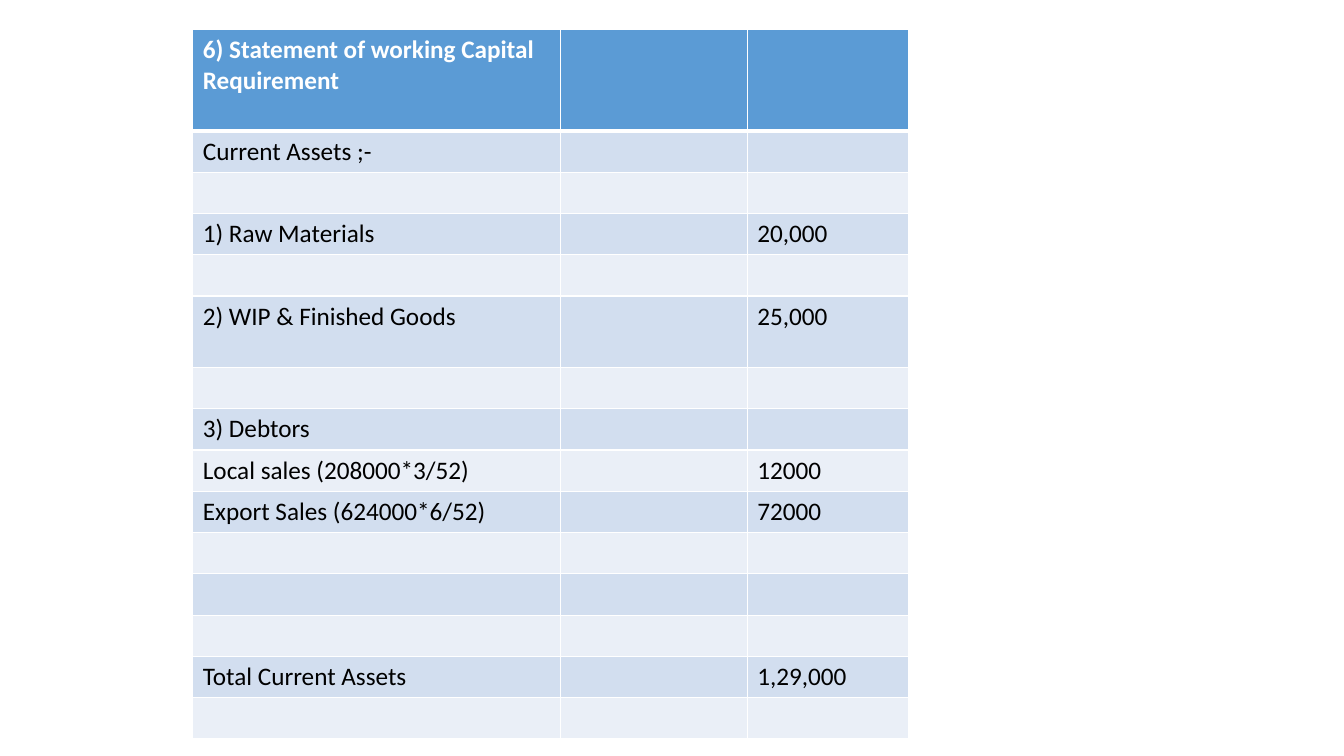
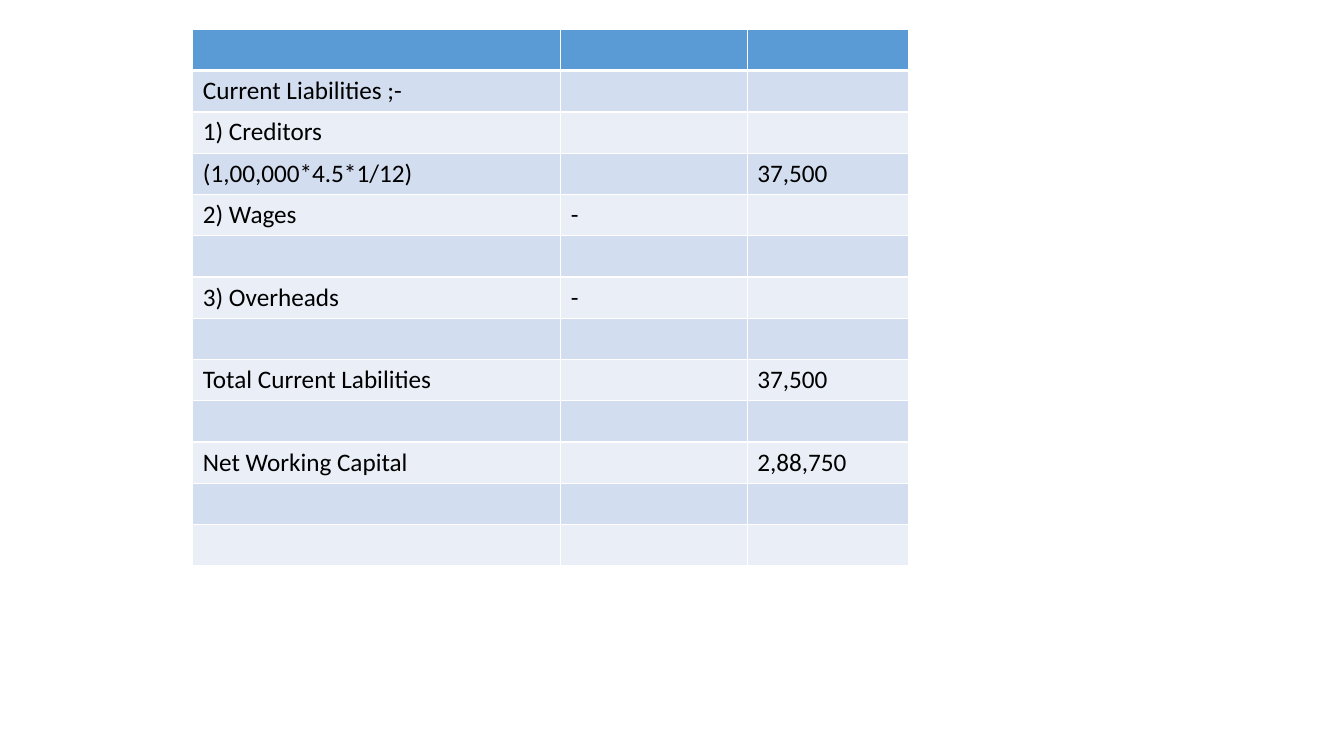
import pptx
import pptx.dml.color
import pptx.oxml
import pptx.oxml.ns
import pptx.util
from pptx.util import Cm, Pt

# Content: one (label, detail, amount) tuple per row
EMPTY = ("", "", "")
ASSETS = [
    ("6) Statement of working Capital Requirement", "", ""),
    ("Current Assets ;-", "", ""),
    EMPTY,
    ("1) Raw Materials", "", "20,000"),
    EMPTY,
    ("2) WIP & Finished Goods", "", "25,000"),
    EMPTY,
    ("3) Debtors", "", ""),
    ("Local sales (208000*3/52)", "", "12000"),
    ("Export Sales (624000*6/52)", "", "72000"),
    EMPTY,
    EMPTY,
    EMPTY,
    ("Total Current Assets", "", "1,29,000"),
    EMPTY,
]
LIABILITIES = [
    EMPTY,
    ("Current Liabilities ;-", "", ""),
    ("1) Creditors", "", ""),
    ("(1,00,000*4.5*1/12)", "", "37,500"),
    ("2) Wages", "-", ""),
    EMPTY,
    ("3) Overheads", "-", ""),
    EMPTY,
    ("Total Current Labilities", "", "37,500"),
    EMPTY,
    ("Net Working Capital", "", "2,88,750"),
    EMPTY,
    EMPTY,
]
# Each statement: rows, and heights (cm) of the rows taller than usual
STATEMENTS = [(ASSETS, {0: 2.56, 5: 1.8}), (LIABILITIES, {})]

# Shared style
COLORS = {"header": "5B9BD5", "odd": "D2DEEF", "even": "EAEFF7",
          "line": "FFFFFF", "header_text": "FFFFFF", "text": "000000"}
FONT = "Calibri"
LEFT, TOP = 4.86, 0.74
COLUMN_WIDTHS = [9.27, 4.7, 4.06]
ROW_HEIGHT = 1.04


def rgb(name):
    return pptx.dml.color.RGBColor.from_string(COLORS[name])


def add_borders(cell, row_index):
    widths = {"lnL": 1, "lnR": 1,
              "lnT": 3 if row_index == 1 else 1,
              "lnB": 3 if row_index == 0 else 1}
    properties = cell._tc.get_or_add_tcPr()
    for side, width in widths.items():
        properties.append(pptx.oxml.parse_xml(
            f'<a:{side} {pptx.oxml.ns.nsdecls("a")} w="{Pt(width)}"><a:solidFill>'
            f'<a:srgbClr val="{COLORS["line"]}"/></a:solidFill></a:{side}>'))


def format_cell(cell, text, row_index):
    is_header = row_index == 0
    add_borders(cell, row_index)
    cell.fill.solid()
    band = "odd" if row_index % 2 else "even"
    cell.fill.fore_color.rgb = rgb("header" if is_header else band)
    cell.text = text
    font = cell.text_frame.paragraphs[0].font
    font.name, font.size, font.bold = FONT, Pt(18), is_header
    font.color.rgb = rgb("header_text" if is_header else "text")


def add_statement(presentation, rows, tall_rows):
    slide = presentation.slides.add_slide(presentation.slide_layouts[6])
    heights = [tall_rows.get(index, ROW_HEIGHT) for index in range(len(rows))]
    table = slide.shapes.add_table(
        len(rows), len(COLUMN_WIDTHS), Cm(LEFT), Cm(TOP),
        Cm(sum(COLUMN_WIDTHS)), Cm(sum(heights))).table
    for column, width in zip(table.columns, COLUMN_WIDTHS):
        column.width = Cm(width)
    for row_index, (row, height) in enumerate(zip(table.rows, heights)):
        row.height = Cm(height)
        for cell, text in zip(row.cells, rows[row_index]):
            format_cell(cell, text, row_index)


def main():
    presentation = pptx.Presentation()
    presentation.slide_width, presentation.slide_height = Cm(33.87), Cm(19.05)
    for rows, tall_rows in STATEMENTS:
        add_statement(presentation, rows, tall_rows)
    presentation.save("out.pptx")


if __name__ == "__main__":
    main()
